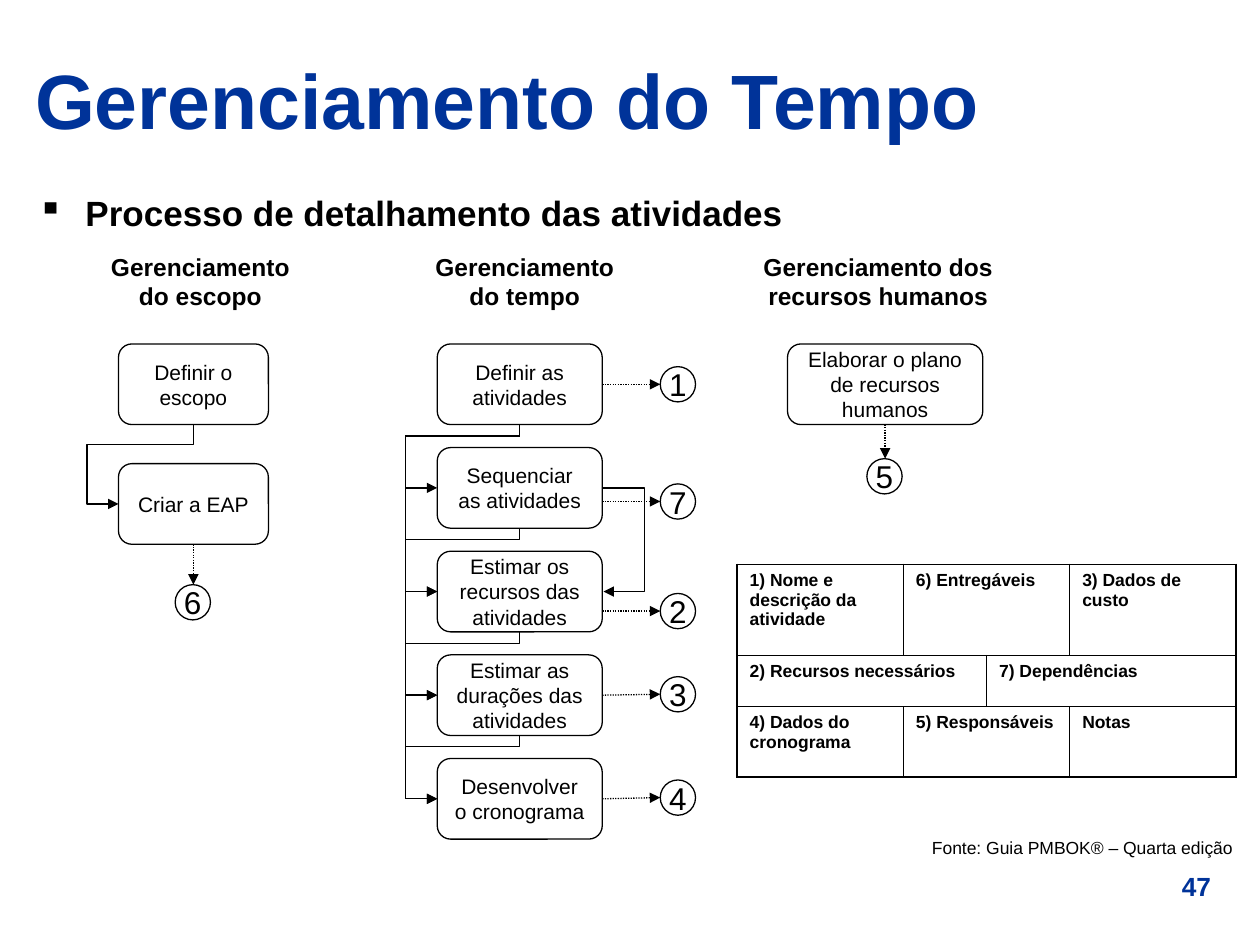
from lxml import etree
from pptx import Presentation
from pptx.dml.color import RGBColor
from pptx.enum.dml import MSO_LINE
from pptx.enum.shapes import MSO_CONNECTOR, MSO_SHAPE
from pptx.enum.text import MSO_ANCHOR, PP_ALIGN
from pptx.oxml.ns import qn
from pptx.util import Inches, Pt

STRAIGHT, ELBOW = MSO_CONNECTOR.STRAIGHT, MSO_CONNECTOR.ELBOW
ROUNDED, OVAL = MSO_SHAPE.ROUNDED_RECTANGLE, MSO_SHAPE.OVAL
LEFT, CENTER, RIGHT = PP_ALIGN.LEFT, PP_ALIGN.CENTER, PP_ALIGN.RIGHT
TOP, MIDDLE = MSO_ANCHOR.TOP, MSO_ANCHOR.MIDDLE
DOTTED = MSO_LINE.ROUND_DOT
LEFT_SIDE, BOTTOM_SIDE, RIGHT_SIDE = 1, 2, 3
NO_TABLE_STYLE = "{2D5ABB26-0587-4C30-8999-92F81FD0307C}"

BOX_H = 0.64
CIRCLE = 0.28
OVERHANG = 0.25
TIME_X, TIME_W = 3.47, 1.31
TIME_TOP, TIME_BOTTOM = 2.73, 6.02
CIRCLE_X = 5.24


def color(value):
    return RGBColor.from_string(value)


class SlideStyle:
    font = "Arial"
    ink = "000000"
    accent = "003399"
    paper = "FFFFFF"
    line_width = 0.75

    def __init__(self, slide):
        self.s = slide

    def set_text(self, tf, text, size, bold=False, ink=None, align=LEFT, anchor=TOP):
        tf.word_wrap = True
        tf.vertical_anchor = anchor
        tf.text = text
        p = tf.paragraphs[0]
        p.alignment = align
        for r in p.runs:
            r.font.name = self.font
            r.font.size = Pt(size)
            r.font.bold = bold
            r.font.color.rgb = color(ink or self.ink)
        return p

    def text(self, x, y, w, h, text, size, **style):
        sp = self.s.shapes.add_textbox(Inches(x), Inches(y), Inches(w), Inches(h))
        return self.set_text(sp.text_frame, text, size, **style)

    def bullet(self, x, y, w, h, text, size):
        p = self.text(x, y, w, h, text, size, bold=True)
        pPr = p._p.get_or_add_pPr()
        pPr.set("marL", str(Inches(0.38)))
        pPr.set("indent", str(-Inches(0.38)))
        etree.SubElement(pPr, qn("a:buChar")).set("char", "▪")

    def shape(self, kind, x, y, w, h, text, size):
        sp = self.s.shapes.add_shape(kind, Inches(x), Inches(y), Inches(w), Inches(h))
        sp.shadow.inherit = False
        sp.fill.solid()
        sp.fill.fore_color.rgb = color(self.paper)
        sp.line.color.rgb = color(self.ink)
        sp.line.width = Pt(self.line_width)
        self.set_text(sp.text_frame, text, size, align=CENTER, anchor=MIDDLE)
        return sp

    def box(self, x, y, w, text):
        return self.shape(ROUNDED, x, y, w, BOX_H, text, 12)

    def circle(self, x, y, text):
        sp = self.shape(OVAL, x, y, CIRCLE, CIRCLE, text, 18)
        sp.text_frame.word_wrap = False

    def arrow(self, kind, x1, y1, x2, y2):
        """Add a connector with an arrowhead at its end; lengths are in EMU."""
        cxn = self.s.shapes.add_connector(kind, x1, y1, x2, y2)
        cxn.line.color.rgb = color(self.ink)
        cxn.line.width = Pt(self.line_width)
        ln = cxn._element.spPr.find(qn("a:ln"))
        etree.SubElement(ln, qn("a:tailEnd")).set("type", "triangle")
        etree.SubElement(cxn._element.spPr, qn("a:effectLst"))
        return cxn

    def dotted(self, x1, y1, x2, y2, source=None, side=RIGHT_SIDE):
        cxn = self.arrow(STRAIGHT, x1, y1, x2, y2)
        cxn.line.dash_style = DOTTED
        if source is not None:
            cxn.begin_connect(source, side)

    def adjust(self, cxn, preset, *values):
        geom = cxn._element.spPr.find(qn("a:prstGeom"))
        geom.set("prst", preset)
        guides = geom.get_or_add_avLst()
        for i, value in enumerate(values, 1):
            gd = etree.SubElement(guides, qn("a:gd"))
            gd.set("name", f"adj{i}")
            gd.set("fmla", f"val {round(value * 100000)}")

    def step(self, source, target, drop):
        """Lead from the bottom of source around to the left side of target."""
        x1, y1 = source.left + source.width // 2, source.top + source.height
        x2, y2 = target.left, target.top + target.height // 2
        dx, dy = x1 - x2, y2 - y1
        cxn = self.arrow(ELBOW, x1, y1, x2, y2)
        cxn.begin_connect(source, BOTTOM_SIDE)
        cxn.end_connect(target, LEFT_SIDE)
        # a quarter turn swaps the sides of the frame around its centre
        xfrm = cxn._element.spPr.find(qn("a:xfrm"))
        xfrm.attrib.pop("flipH", None)
        xfrm.set("rot", "5400000")
        cxn.left, cxn.top = (x1 + x2 - dy) // 2, (y1 + y2 - dx) // 2
        cxn.width, cxn.height = dy, dx
        self.adjust(cxn, "bentConnector4", Inches(drop) / dy, 1 + Inches(OVERHANG) / dx)

    def bypass(self, source, target, reach):
        """Lead from the right side of source to the right side of target."""
        x = source.left + source.width
        width = Inches(0.01)
        cxn = self.arrow(ELBOW, x, source.top + source.height // 2,
                         x + width, target.top + target.height // 2)
        cxn.begin_connect(source, RIGHT_SIDE)
        cxn.end_connect(target, RIGHT_SIDE)
        cxn.width = width
        self.adjust(cxn, "bentConnector3", Inches(reach) / width)

    def table(self, x, y, widths, heights, rows):
        """Each row lists (text, column span) pairs."""
        frame = self.s.shapes.add_table(len(heights), len(widths), Inches(x), Inches(y),
                                        Inches(sum(widths)), Inches(sum(heights)))
        tbl = frame.table
        tbl.first_row = tbl.horz_banding = False
        tbl._tbl.tblPr.find(qn("a:tableStyleId")).text = NO_TABLE_STYLE
        for col, w in zip(tbl.columns, widths):
            col.width = Inches(w)
        for row, h in zip(tbl.rows, heights):
            row.height = Inches(h)
        for i, row in enumerate(rows):
            j = 0
            for text, span in row:
                cell, end = tbl.cell(i, j), j + span
                if span > 1:
                    cell.merge(tbl.cell(i, end - 1))
                self.set_text(cell.text_frame, text, 10, bold=True)
                cell.fill.background()
                self.borders(cell, L=j == 0, R=end == len(widths),
                             T=i == 0, B=i == len(rows) - 1)
                j = end

    def borders(self, cell, **outer):
        tcPr = cell._tc.get_or_add_tcPr()
        for i, (side, is_outer) in enumerate(outer.items()):
            ln = etree.Element(qn(f"a:ln{side}"), w=str(Pt(1.08 if is_outer else 0.45)))
            fill = etree.SubElement(ln, qn("a:solidFill"))
            etree.SubElement(fill, qn("a:srgbClr")).set("val", self.ink)
            tcPr.insert(i, ln)


def main():
    prs = Presentation()
    prs.slide_width, prs.slide_height = Inches(10), Inches(7.5)
    s = SlideStyle(prs.slides.add_slide(prs.slide_layouts[6]))

    s.text(0.18, 0.28, 9.62, 1.01, "Gerenciamento do Tempo", 44,
           bold=True, ink=s.accent, anchor=MIDDLE)
    s.bullet(0.2, 1.47, 9.52, 0.62, "Processo de detalhamento das atividades", 20)
    for x, w, heading in [(0.77, 1.64, "Gerenciamento do escopo"),
                          (3.31, 1.71, "Gerenciamento do tempo"),
                          (5.8, 2.34, "Gerenciamento dos recursos humanos")]:
        s.text(x, 1.95, w, 0.57, heading, 14, bold=True, align=CENTER)

    scope = s.box(0.94, TIME_TOP, 1.19, "Definir o escopo")
    wbs = s.box(0.94, 3.68, 1.19, "Criar a EAP")
    s.step(scope, wbs, 0.16)
    staff = s.box(6.25, TIME_TOP, 1.55, "Elaborar o plano de recursos humanos")
    for source, x, y, number in [(wbs, 1.39, 4.64, "6"), (staff, 6.88, 3.64, "5")]:
        middle = source.left + source.width // 2
        s.circle(x, y, number)
        s.dotted(middle, source.top + source.height, middle, Inches(y), source, BOTTOM_SIDE)

    names = ["Definir as atividades", "Sequenciar as atividades",
             "Estimar os recursos das atividades", "Estimar as durações das atividades",
             "Desenvolver o cronograma"]
    pitch = (TIME_BOTTOM - TIME_TOP) / (len(names) - 1)
    steps = [s.box(TIME_X, TIME_TOP + i * pitch, TIME_W, name) for i, name in enumerate(names)]
    for target in steps[1:]:
        s.step(steps[0], target, 0.09)
    for source, target in zip(steps[1:], steps[2:]):
        s.step(source, target, 0.09)
    s.bypass(steps[1], steps[2], 0.34)

    outputs = [("1", 2.91, True), ("7", 3.84, False), ("2", 4.71, False),
               ("3", 5.37, True), ("4", 6.19, True)]
    for source, (number, y, from_middle) in zip(steps, outputs):
        s.circle(CIRCLE_X, y, number)
        level = Inches(y + CIRCLE / 2)
        s.dotted(source.left + source.width, level, Inches(CIRCLE_X), level,
                 source if from_middle else None)

    s.table(5.85, 4.48, [1.32, 0.66, 0.66, 1.32], [0.72, 0.41, 0.56], [
        [("1) Nome e descrição da atividade", 1), ("6) Entregáveis", 2), ("3) Dados de custo", 1)],
        [("2) Recursos necessários", 2), ("7) Dependências", 2)],
        [("4) Dados do cronograma", 1), ("5) Responsáveis", 2), ("Notas", 1)],
    ])
    s.text(7.28, 6.59, 2.6, 0.27, "Fonte: Guia PMBOK® – Quarta edição", 10, align=RIGHT)
    s.text(9.1, 6.86, 0.79, 0.35, "47", 15, bold=True, ink=s.accent, align=CENTER)
    prs.save("out.pptx")


if __name__ == "__main__":
    main()
